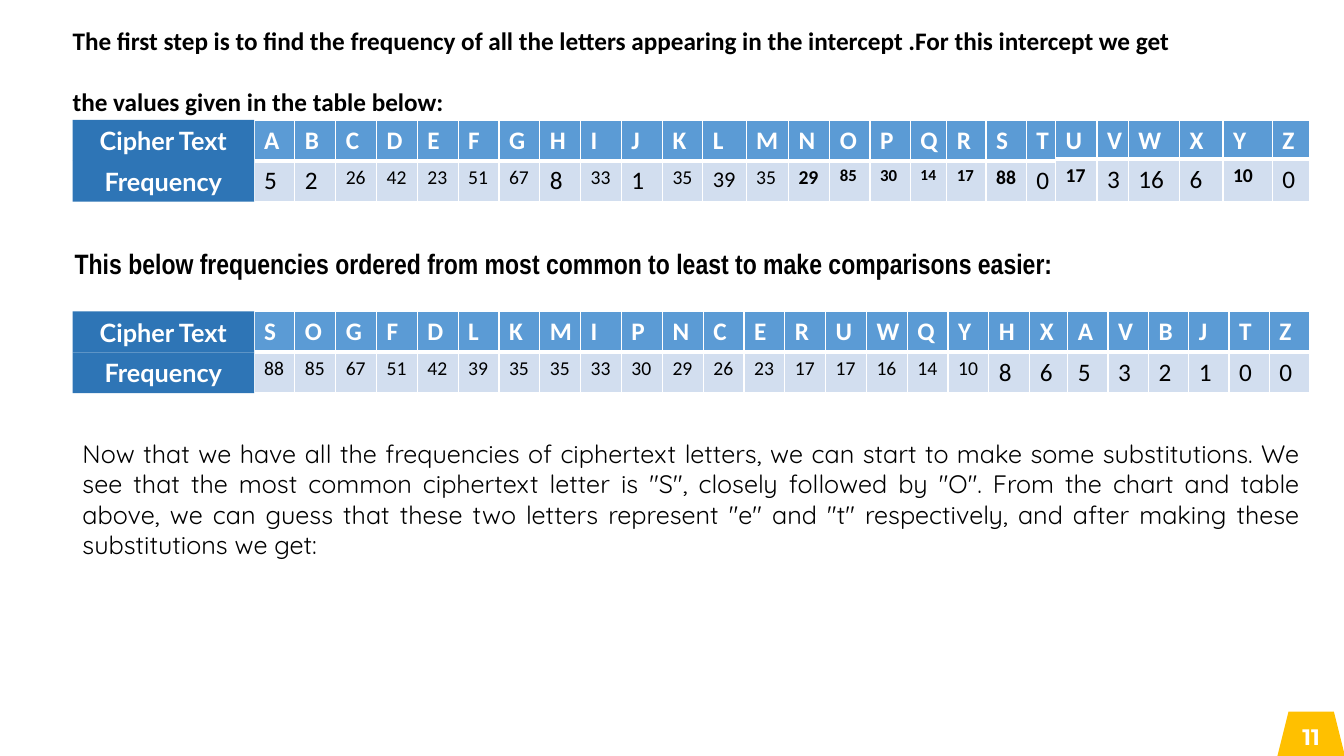
from lxml import etree
from pptx import Presentation, util as u
from pptx.dml.color import RGBColor
from pptx.enum import shapes, text
from pptx.oxml.ns import qn

# Content
INTRO = ["The first step is to find the frequency of all the letters appearing in the intercept .For this intercept we get",
         "the values given in the table below:"]
ORDERED = "This below frequencies ordered from most common to least to make comparisons easier:"
CLOSING = ('Now that we have all the frequencies of ciphertext letters, we can start to make some '
           'substitutions. We see that the most common ciphertext letter is "S", closely followed by "O". '
           'From the chart and table above, we can guess that these two letters represent "e" and "t" '
           'respectively, and after making these substitutions we get:')
ROW_LABELS = ["Cipher Text", "Frequency"]
PAGE = "11"
FREQ = dict(A=5, B=2, C=26, D=42, E=23, F=51, G=67, H=8, I=33, J=1, K=35, L=39, M=35,
            N=29, O=85, P=30, Q=14, R=17, S=88, T=0, U=17, V=3, W=16, X=6, Y=10, Z=0)
# Emphasis used only in the alphabetical table
SIZES = dict(L=16, O=12, P=12, Q=11, R=12, W=18)
BOLD = "NOPQRSUY"

# Layout: bands of letters as (letters, left, column widths, row heights)
COL = ROW = 0.405
EVEN = [COL] * 10
LABEL_X, LABEL_W = 0.72, 1.8
BANDS_X = LABEL_X + LABEL_W
ALPHABETICAL = (1.19, [
    ("ABCDEFGHIJ", BANDS_X, EVEN, [ROW, ROW]),
    ("KLMNOPQRST", 6.57, [0.4, 0.43, 0.42, 0.41, 0.4, 0.4, 0.36, 0.39, 0.4, 0.29], [ROW, ROW]),
    ("UVWXYZ", 10.47, [0.41, 0.31, 0.51, 0.43, 0.49, 0.37], [0.39, 0.42])])
BY_COUNT = (3.09, [
    ("SOGFDLKMIP", BANDS_X, EVEN, [ROW, ROW]),
    ("NCERUWQYHX", 6.57, EVEN, [ROW, ROW]),
    ("AVBJTZ", 10.59, [0.4] * 6, [ROW, ROW])])
COLORS = dict(white="FFFFFF", black="000000", head="5B9BD5", body="D2DEEF",
              label="2E75B6", page="FFC000")

prs = Presentation()
prs.slide_width, prs.slide_height = u.Inches(13.33), u.Inches(7.5)
s = prs.slides.add_slide(prs.slide_layouts[6])


def rgb(name):
    return RGBColor.from_string(COLORS[name])


def add_run(p, words, size, font, color="black", bold=False):
    r = p.add_run()
    r.text = words
    r.font.size, r.font.name, r.font.bold = u.Pt(size), font, bold
    r.font.color.rgb = rgb(color)


def add_text(box, paragraphs, size, font, bold=False, inset=0.1, gap=0, align=None):
    tf = s.shapes.add_textbox(*map(u.Inches, box)).text_frame
    tf.word_wrap = True
    tf.margin_left = u.Inches(inset)
    for i, words in enumerate(paragraphs):
        p = tf.add_paragraph() if i else tf.paragraphs[0]
        p.alignment = align
        p.space_before = u.Pt(gap if i else 0)
        add_run(p, words, size, font, bold=bold)


def add_block(kind, box, fill, words, size, font):
    sp = s.shapes.add_shape(kind, *map(u.Inches, box))
    sp.shadow.inherit = False
    sp.fill.solid()
    sp.fill.fore_color.rgb = rgb(fill)
    sp.line.fill.background()
    tf = sp.text_frame
    tf.word_wrap = False
    tf.vertical_anchor = text.MSO_ANCHOR.MIDDLE
    p = tf.paragraphs[0]
    p.alignment = text.PP_ALIGN.CENTER
    add_run(p, words, size, font, "white", True)


def style_cell(cell, fill, thick_side):
    tcPr = cell._tc.get_or_add_tcPr()
    for side in ("lnL", "lnR", "lnT", "lnB"):
        width = u.Pt(3 if side == thick_side else 1)
        ln = etree.SubElement(tcPr, qn("a:" + side), w=str(width))
        solid = etree.SubElement(ln, qn("a:solidFill"))
        etree.SubElement(solid, qn("a:srgbClr"), val=COLORS["white"])
    cell.fill.solid()
    cell.fill.fore_color.rgb = rgb(fill)
    cell.margin_bottom = u.Inches(0.03)


def add_band(top, letters, left, widths, heights, emphasis):
    box = (left, top, sum(widths), sum(heights))
    table = s.shapes.add_table(2, len(letters), *map(u.Inches, box)).table
    table.horz_banding = False
    for row, height in zip(table.rows, heights):
        row.height = u.Inches(height)
    for c, letter in enumerate(letters):
        table.columns[c].width = u.Inches(widths[c])
        head, body = table.cell(0, c), table.cell(1, c)
        style_cell(head, "head", "lnB")
        style_cell(body, "body", "lnT")
        add_run(head.text_frame.paragraphs[0], letter, 18, "Calibri", "white", True)
        count = FREQ[letter]
        size = 18 if count < 10 else 14
        if emphasis:
            size = SIZES.get(letter, size)
        add_run(body.text_frame.paragraphs[0], str(count), size, "Calibri",
                bold=emphasis and letter in BOLD)


# Frequency tables with their row labels
for top, bands in (ALPHABETICAL, BY_COUNT):
    for band in bands:
        add_band(top, *band, emphasis=bands is ALPHABETICAL[1])
    for i, label in enumerate(ROW_LABELS):
        add_block(shapes.MSO_SHAPE.RECTANGLE, (LABEL_X, top + i * ROW, LABEL_W, ROW),
                  "label", label, 18, "Lato")

# Explanations
add_text((0.45, 0.2, 11.34, 1.01), INTRO, 18, "Calibri", bold=True, inset=0.27, gap=22)
add_text((0.45, 2.4, 11.85, 0.44), [ORDERED], 20, "Arial Narrow", bold=True, inset=0.29)
add_text((0.72, 4.3, 12.27, 1.31), [CLOSING], 18, "Quicksand", align=text.PP_ALIGN.JUSTIFY)

# Page number
add_block(shapes.MSO_SHAPE.TRAPEZOID, (12.67, 7.06, 0.67, 0.44), "page", PAGE, 16, "Montserrat")

prs.save("out.pptx")
